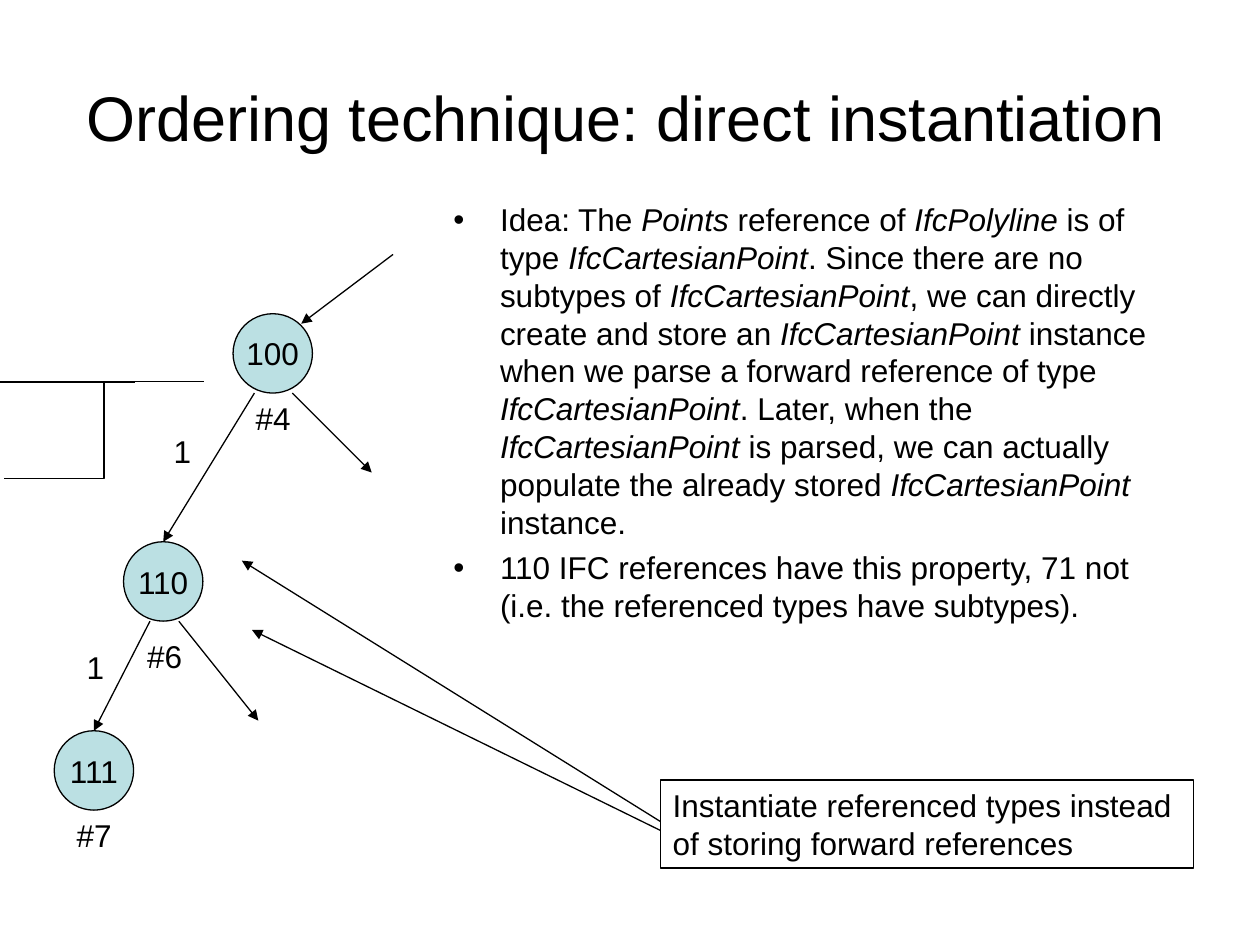
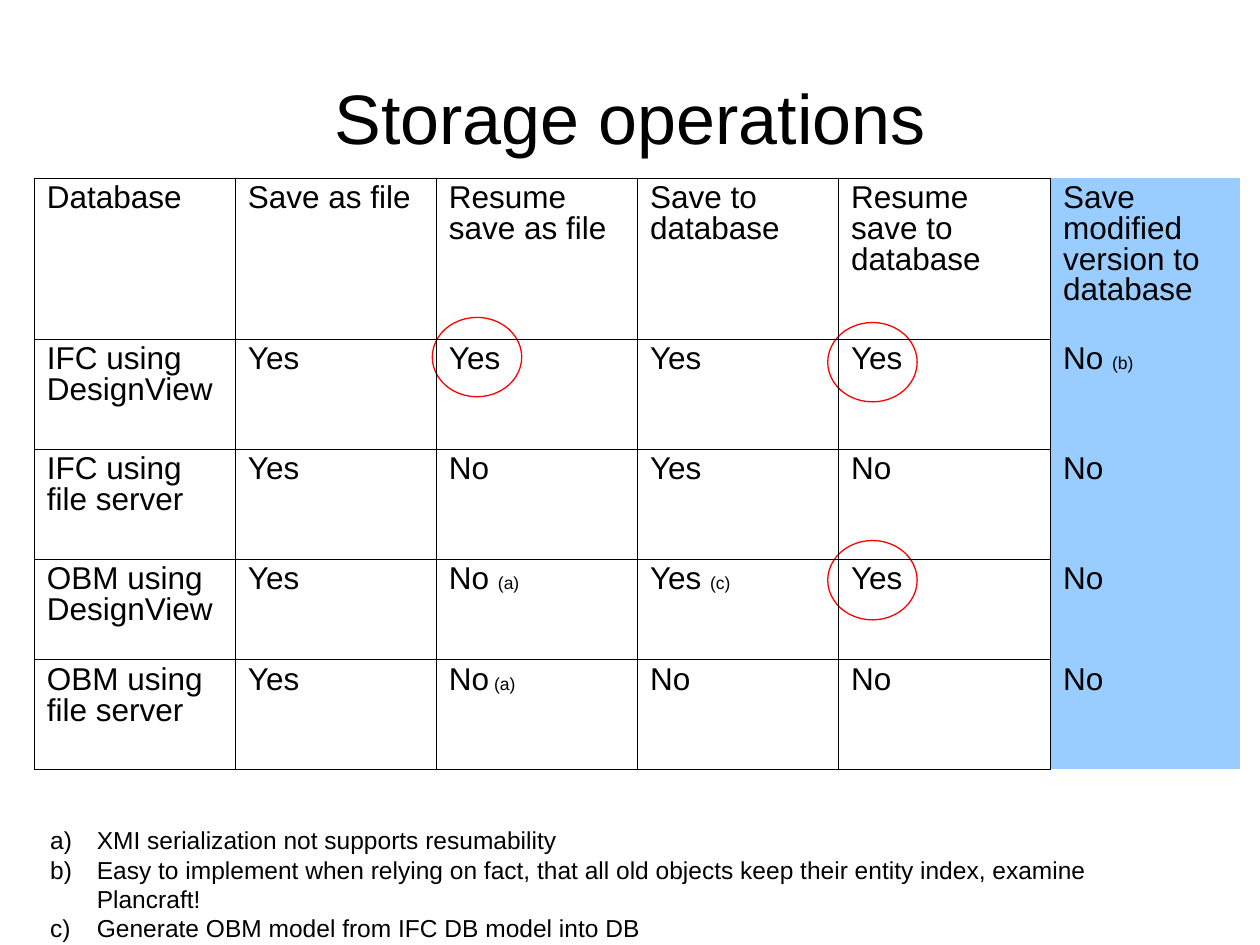
from lxml.etree import SubElement
from pptx import Presentation
from pptx.dml.color import RGBColor
from pptx.enum.shapes import MSO_CONNECTOR as Connector, MSO_SHAPE as Shape
from pptx.enum.text import MSO_ANCHOR as Anchor, PP_ALIGN as Align
from pptx.oxml import parse_xml
from pptx.oxml.ns import nsdecls, qn
from pptx.util import Pt

BLACK = "000000"
NODE_FILL = "BBE0E3"
COLUMN_FILL = "99CCFF"
RED = "FF0000"
NODE_SIZE = 45.36


def color(value):
    return RGBColor.from_string(value)


class Deck:
    font = "Arial"
    text_size = 18
    line_width = 0.75
    border_width = 0.11

    def __init__(self):
        self.presentation = Presentation()
        self.presentation.slide_width = Pt(720)
        self.presentation.slide_height = Pt(540)
        self.slide = None

    def add_slide(self, title, left, width, size):
        layout = self.presentation.slide_layouts[6]
        self.slide = self.presentation.slides.add_slide(layout)
        box = self.text([title], left, 21.6, width, 90, size=size, wrap=True, align=Align.CENTER)
        box.text_frame.vertical_anchor = Anchor.MIDDLE

    def add_runs(self, paragraph, content, size=text_size, align=Align.LEFT, marked=None):
        paragraph.alignment = align
        for index, part in enumerate(content.split("|")):
            if not part:
                continue
            run = paragraph.add_run()
            run.text = part
            run.font.name = self.font
            run.font.size = Pt(size)
            run.font.color.rgb = color(BLACK)
            if index % 2 and marked == "italic":
                run.font.italic = True
            elif index % 2:
                run.font.size = Pt(10)

    def fill_frame(self, frame, lines, **style):
        for index, line in enumerate(lines):
            paragraph = frame.add_paragraph() if index else frame.paragraphs[0]
            self.add_runs(paragraph, line, **style)

    def text(self, lines, left, top, width, height, wrap=False, **style):
        box = self.slide.shapes.add_textbox(Pt(left), Pt(top), Pt(width), Pt(height))
        box.text_frame.word_wrap = wrap
        self.fill_frame(box.text_frame, lines, **style)
        return box

    def bullets(self, lines, left, top, width, height, tag, space=0, **style):
        box = self.text(lines, left, top, width, height, **style)
        for paragraph in box.text_frame.paragraphs:
            paragraph.space_before = Pt(space)
            properties = paragraph._p.get_or_add_pPr()
            properties.set("marL", str(Pt(26.64)))
            properties.set("indent", str(Pt(-26.64)))
            properties.append(parse_xml(f'<a:buFont {nsdecls("a")} typeface="{self.font}"/>'))
            properties.append(parse_xml(f'<a:{tag} {nsdecls("a")}/>'))

    def shape(self, kind, left, top, width, height, line=BLACK, fill=None):
        shape = self.slide.shapes.add_shape(kind, Pt(left), Pt(top), Pt(width), Pt(height))
        shape.shadow.inherit = False
        shape.line.color.rgb = color(line)
        shape.line.width = Pt(self.line_width)
        if fill:
            shape.fill.solid()
            shape.fill.fore_color.rgb = color(fill)
        else:
            shape.fill.background()
        return shape

    def node(self, label, left, top):
        node = self.shape(Shape.OVAL, left, top, NODE_SIZE, NODE_SIZE, fill=NODE_FILL)
        node.text_frame.word_wrap = False
        node.text_frame.vertical_anchor = Anchor.MIDDLE
        self.fill_frame(node.text_frame, [label], align=Align.CENTER)
        return node

    def callout(self, lines, left, top, width, height):
        box = self.shape(Shape.RECTANGLE, left, top, width, height)
        box.text_frame.word_wrap = False
        box.text_frame.vertical_anchor = Anchor.TOP
        self.fill_frame(box.text_frame, lines)

    def connect(self, start, end, kind=Connector.STRAIGHT, arrow=True, target=None):
        points = [Pt(value) for value in (*start, *end)]
        connector = self.slide.shapes.add_connector(kind, *points)
        connector.line.color.rgb = color(BLACK)
        connector.line.width = Pt(self.line_width)
        if target is not None:
            connector.end_connect(target, 0)
        properties = connector._element.spPr
        if arrow:
            SubElement(properties.find(qn("a:ln")), qn("a:tailEnd"), type="triangle")
        SubElement(properties, qn("a:effectLst"))

    def borders(self, cell, sides):
        properties = cell._tc.get_or_add_tcPr()
        for index, side in enumerate("LRTB"):
            paint = f'<a:solidFill><a:srgbClr val="{BLACK}"/></a:solidFill>' if side in sides else "<a:noFill/>"
            properties.insert(index, parse_xml(
                f'<a:ln{side} {nsdecls("a")} w="{Pt(self.border_width)}">{paint}</a:ln{side}>'))

    def table(self, rows, left, top, widths, heights):
        frame = self.slide.shapes.add_table(
            len(rows), len(widths), Pt(left), Pt(top), Pt(sum(widths)), Pt(sum(heights)))
        table = frame.table
        table.first_row = table.horz_banding = False
        for column, width in zip(table.columns, widths):
            column.width = Pt(width)
        for row, height in zip(table.rows, heights):
            row.height = Pt(height)
        last = len(widths) - 1
        for row, values in zip(table.rows, rows):
            for index, (cell, value) in enumerate(zip(row.cells, values)):
                if index == last:
                    cell.fill.solid()
                    cell.fill.fore_color.rgb = color(COLUMN_FILL)
                else:
                    cell.fill.background()
                self.borders(cell, "L" if index == last else "LRTB")
                paragraph = cell.text_frame.paragraphs[0]
                paragraph.line_spacing = 0.87
                paragraph.space_before = Pt(4.5)
                self.add_runs(paragraph, value)


def ordering_slide(deck):
    deck.add_slide("Ordering technique: direct instantiation", 14.4, 686, 36)
    deck.bullets([
        "Idea: The |Points| reference of |IfcPolyline| is of type |IfcCartesianPoint|. "
        "Since there are no subtypes of |IfcCartesianPoint|, we can directly create and store an "
        "|IfcCartesianPoint| instance when we parse a forward reference of type "
        "|IfcCartesianPoint|. Later, when the |IfcCartesianPoint| is parsed, we can actually "
        "populate the already stored |IfcCartesianPoint| instance.",
        "110 IFC references have this property, 71 not (i.e. the referenced types have subtypes).",
    ], 252, 110.9, 426.2, 283.7, 'buChar char="•"', space=4.5, wrap=True, marked="italic")

    deck.node("100", 133.2, 179.3)
    middle = deck.node("110", 70.6, 309.6)
    bottom = deck.node("111", 31, 417.6)
    deck.connect((145.4, 224.6), (92.9, 309.6), target=middle)
    deck.connect((85.7, 355), (56.2, 417.6), target=bottom)
    for start, end in [
        ((102.2, 355), (147.6, 411.8)),
        ((224.6, 145.4), (172.1, 185)),
        ((167, 224.6), (212.4, 270)),
        ((377.3, 469.4), (138.2, 320.4)),
        ((377.3, 474.5), (144, 360)),
    ]:
        deck.connect(start, end)
    for start, end in [((116.6, 218.2), (2.2, 273.6)), ((77, 218.2), (-145.4, 313.2))]:
        deck.connect(start, end, kind=Connector.ELBOW, arrow=False)

    for label, left, top, width in [
        ("1", 92.2, 243.4, 24.5),
        ("1", 42.5, 366.5, 24.5),
        ("#4", 139, 224.6, 34.6),
        ("#6", 77, 360.7, 34.6),
        ("#7", 36.7, 463, 34.6),
    ]:
        deck.text([label], left, top, width, 28.8)
    deck.callout(["Instantiate referenced types instead", "of storing forward references"],
                 377.3, 445.7, 304.6, 50.4)


def storage_slide(deck):
    deck.add_slide("Storage operations", 36, 648, 40)
    deck.bullets([
        "XMI serialization not supports resumability",
        "Easy to implement when relying on fact, that all old objects keep their entity index, "
        "examine Plancraft!",
        "Generate OBM model from IFC DB model into DB",
    ], 21.6, 468, 668.9, 57.6, 'buAutoNum type="alphaLcParenR"', size=14)
    for left, top in [(473, 308.9), (473, 184.3), (247, 181.4)]:
        deck.shape(Shape.OVAL, left, top, 51.1, NODE_SIZE, line=RED)
    deck.table([
        ["Database", "Save as file", "Resume save as file", "Save to database",
         "Resume save to database", "Save modified version to database"],
        ["IFC using DesignView", "Yes", "Yes", "Yes", "Yes", "No |(b)"],
        ["IFC using file server", "Yes", "No", "Yes", "No", "No"],
        ["OBM using DesignView", "Yes", "No |(a)", "Yes |(c)", "Yes", "No"],
        ["OBM using file server", "Yes", "No| (a)", "No", "No", "No"],
    ], 19.6, 101.7, [114.9] * 4 + [121.2, 108.5], [92, 62.8, 62.8, 57.6, 62.8])


def main():
    deck = Deck()
    ordering_slide(deck)
    storage_slide(deck)
    deck.presentation.save("out.pptx")


if __name__ == "__main__":
    main()
